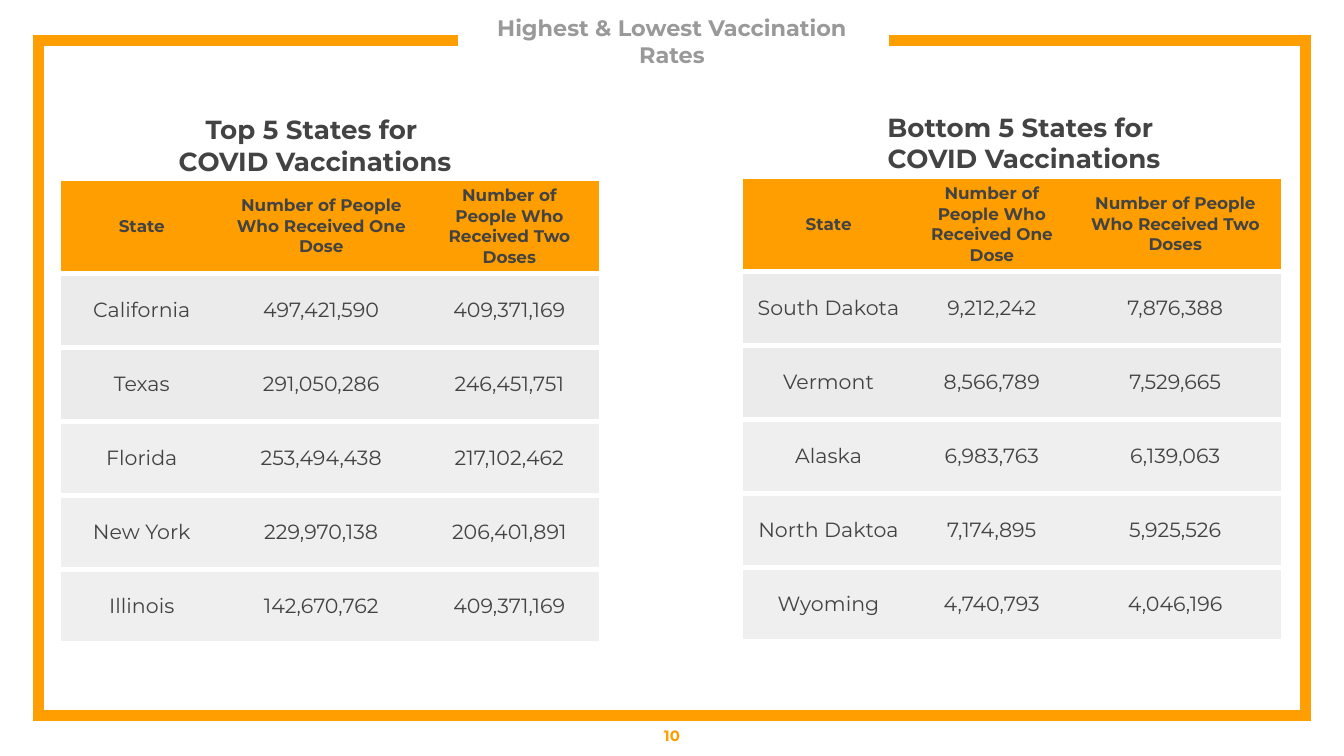
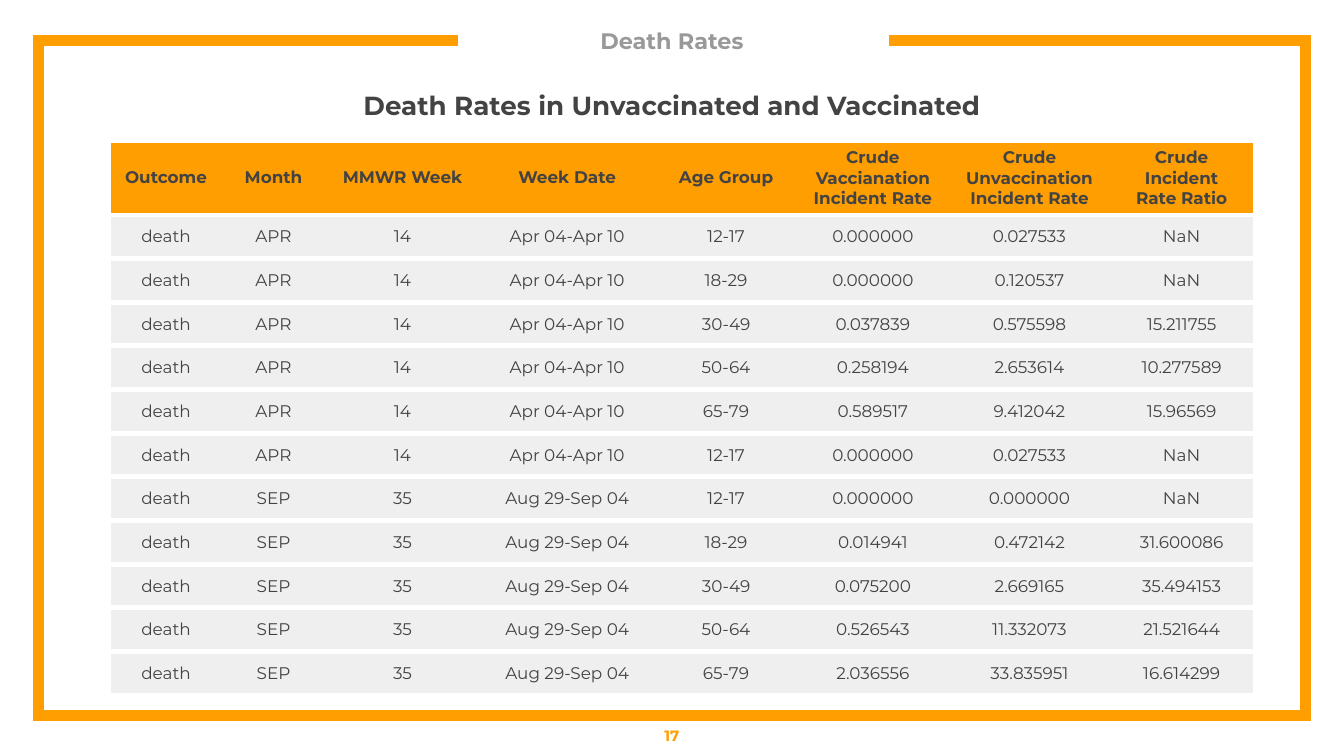
"""Build two slides of vaccination and death rate tables."""

from typing import Any, NamedTuple

from lxml import etree
from pptx import Presentation
from pptx.dml.color import RGBColor
from pptx.enum.text import MSO_ANCHOR, PP_ALIGN
from pptx.oxml.ns import qn
from pptx.slide import Slide
from pptx.table import _Cell
from pptx.text.text import TextFrame
from pptx.util import Emu, Pt

CENTER = PP_ALIGN.CENTER
MIDDLE = MSO_ANCHOR.MIDDLE

PX = 4572
SLIDE_WIDTH, SLIDE_HEIGHT = 2000, 1125
BLANK_LAYOUT = 6
FONT = "Montserrat"

ORANGE = RGBColor(0xFF, 0x9E, 0x00)
WHITE = RGBColor(0xFF, 0xFF, 0xFF)
TITLE_GRAY = RGBColor(0x99, 0x99, 0x99)
TEXT_GRAY = RGBColor(0x43, 0x43, 0x43)
ROW_GRAY = RGBColor(0xEF, 0xEF, 0xEF)
ROW_DARK = RGBColor(0xEB, 0xEB, 0xEB)

FRAME_POINTS = [(681, 60), (57, 60), (57, 1065), (1943, 1065), (1943, 60), (1323, 60)]
FRAME_WEIGHT = 6
BORDER_WEIGHT = 3


class Box(NamedTuple):
    left: int
    top: int
    width: int
    height: int


class TextStyle(NamedTuple):
    size: int
    color: RGBColor
    bold: bool = True


class Label(NamedTuple):
    lines: tuple[str, ...]
    box: Box
    style: TextStyle
    inset: int = 0


class DataTable(NamedTuple):
    left: int
    top: int
    column_widths: tuple[int, ...]
    header_height: int
    row_height: int
    header: tuple[str, ...]
    rows: list[tuple[str, ...]]
    body_style: TextStyle
    dark_rows: int = 0


class Page(NamedTuple):
    title: str
    number: str
    tables: list[DataTable]
    headings: list[Label]


TITLE_BOX = Box(709, 22, 582, 78)
NUMBER_BOX = Box(0, 1065, SLIDE_WIDTH, 60)
TITLE_STYLE = TextStyle(12, TITLE_GRAY)
NUMBER_STYLE = TextStyle(8, ORANGE)
HEADING_STYLE = TextStyle(14, TEXT_GRAY)
HEADER_STYLE = TextStyle(9, TEXT_GRAY)
STATE_STYLE = TextStyle(11, TEXT_GRAY, False)
DEATH_STYLE = TextStyle(9, TEXT_GRAY, False)

DOSE_HEADER = (
    "State",
    "Number of People Who Received One Dose",
    "Number of People Who Received Two Doses",
)
TOP_STATES = [
    ("California", "497,421,590", "409,371,169"),
    ("Texas", "291,050,286", "246,451,751"),
    ("Florida", "253,494,438", "217,102,462"),
    ("New York", "229,970,138", "206,401,891"),
    ("Illinois", "142,670,762", "409,371,169"),
]
BOTTOM_STATES = [
    ("South Dakota", "9,212,242", "7,876,388"),
    ("Vermont", "8,566,789", "7,529,665"),
    ("Alaska", "6,983,763", "6,139,063"),
    ("North Daktoa", "7,174,895", "5,925,526"),
    ("Wyoming", "4,740,793", "4,046,196"),
]
DEATH_HEADER = (
    "Outcome",
    "Month",
    "MMWR Week",
    "Week Date",
    "Age Group",
    "Crude Vaccianation Incident Rate",
    "Crude Unvaccination Incident Rate",
    "Crude Incident Rate Ratio",
)
DEATHS_BY_WEEK = {
    ("death", "APR", "14", "Apr 04-Apr 10"): [
        ("12-17", "0.000000", "0.027533", "NaN"),
        ("18-29", "0.000000", "0.120537", "NaN"),
        ("30-49", "0.037839", "0.575598", "15.211755"),
        ("50-64", "0.258194", "2.653614", "10.277589"),
        ("65-79", "0.589517", "9.412042", "15.96569"),
        ("12-17", "0.000000", "0.027533", "NaN"),
    ],
    ("death", "SEP", "35", "Aug 29-Sep 04"): [
        ("12-17", "0.000000", "0.000000", "NaN"),
        ("18-29", "0.014941", "0.472142", "31.600086"),
        ("30-49", "0.075200", "2.669165", "35.494153"),
        ("50-64", "0.526543", "11.332073", "21.521644"),
        ("65-79", "2.036556", "33.835951", "16.614299"),
    ],
}
DEATH_ROWS = [week + rates for week, group in DEATHS_BY_WEEK.items() for rates in group]


def state_table(
    left: int, top: int, widths: tuple[int, ...], rows: list[tuple[str, ...]]
) -> DataTable:
    return DataTable(left, top, widths, 141, 110, DOSE_HEADER, rows, STATE_STYLE, 2)


def state_heading(rank: str, left: int, top: int) -> Label:
    lines = (f"{rank} 5 States for ", "COVID Vaccinations")
    return Label(lines, Box(left, top, 582, 78), HEADING_STYLE)


PAGES = [
    Page(
        "Highest & Lowest Vaccination Rates",
        "10",
        [
            state_table(91, 266, (240, 294, 266), TOP_STATES),
            state_table(1106, 263, (254, 232, 314), BOTTOM_STATES),
        ],
        [state_heading("Top", 178, 177), state_heading("Bottom", 1233, 173)],
    ),
    Page(
        "Death Rates",
        "17",
        [
            DataTable(
                165, 209, (164, 156, 228, 262, 211, 226, 240, 213), 111, 65,
                DEATH_HEADER, DEATH_ROWS, DEATH_STYLE,
            )
        ],
        [
            Label(
                ("Death Rates in Unvaccinated and Vaccinated",),
                Box(374, 123, 1252, 68), HEADING_STYLE, 20,
            )
        ],
    ),
]


def px(length: int) -> Emu:
    return Emu(length * PX)


def apply_format(target: Any, values: dict[str, Any]) -> None:
    for name, value in values.items():
        setattr(target, name, value)


def write_lines(frame: TextFrame, lines: tuple[str, ...], style: TextStyle) -> None:
    for index, line in enumerate(lines):
        paragraph = frame.add_paragraph() if index else frame.paragraphs[0]
        paragraph.alignment = CENTER
        run = paragraph.add_run()
        run.text = line
        apply_format(run.font, {"name": FONT, "size": Pt(style.size), "bold": style.bold})
        run.font.color.rgb = style.color


def add_label(slide: Slide, label: Label) -> None:
    frame = slide.shapes.add_textbox(*map(px, label.box)).text_frame
    inset = px(label.inset)
    apply_format(frame, {
        "word_wrap": True,
        "vertical_anchor": MIDDLE,
        "margin_left": inset,
        "margin_right": inset,
        "margin_top": inset,
        "margin_bottom": inset,
    })
    write_lines(frame, label.lines, label.style)


def add_frame(slide: Slide) -> None:
    builder = slide.shapes.build_freeform(*FRAME_POINTS[0], scale=PX)
    builder.add_line_segments(FRAME_POINTS[1:], close=False)
    shape = builder.convert_to_shape()
    shape.shadow.inherit = False
    shape.fill.background()
    shape.line.color.rgb = ORANGE
    shape.line.width = Pt(FRAME_WEIGHT)
    outline = shape.line._get_or_add_ln()
    etree.SubElement(outline, qn("a:miter"), lim="800000")


def set_borders(cell: _Cell) -> None:
    properties = cell._tc.get_or_add_tcPr()
    for side in ("lnL", "lnR"):
        etree.SubElement(etree.SubElement(properties, qn(f"a:{side}"), w="0"), qn("a:noFill"))
    for side in ("lnT", "lnB"):
        line = etree.SubElement(properties, qn(f"a:{side}"), w=str(Pt(BORDER_WEIGHT)))
        fill = etree.SubElement(line, qn("a:solidFill"))
        etree.SubElement(fill, qn("a:srgbClr"), val=str(WHITE))


def fill_cell(cell: _Cell, text: str, style: TextStyle, color: RGBColor) -> None:
    set_borders(cell)
    cell.fill.solid()
    cell.fill.fore_color.rgb = color
    cell.vertical_anchor = MIDDLE
    write_lines(cell.text_frame, (text,), style)


def add_data_table(slide: Slide, data: DataTable) -> None:
    heights = [data.header_height] + [data.row_height] * len(data.rows)
    box = Box(data.left, data.top, sum(data.column_widths), sum(heights))
    table = slide.shapes.add_table(len(heights), len(data.header), *map(px, box)).table
    apply_format(table, {"first_row": False, "horz_banding": False})
    for column, width in zip(table.columns, data.column_widths):
        column.width = px(width)
    for index, values in enumerate([data.header, *data.rows]):
        row = table.rows[index]
        row.height = px(heights[index])
        style = data.body_style if index else HEADER_STYLE
        shade = ROW_DARK if index <= data.dark_rows else ROW_GRAY
        for cell, text in zip(row.cells, values):
            fill_cell(cell, text, style, shade if index else ORANGE)


def main() -> None:
    presentation = Presentation()
    apply_format(presentation, {"slide_width": px(SLIDE_WIDTH), "slide_height": px(SLIDE_HEIGHT)})
    for page in PAGES:
        slide = presentation.slides.add_slide(presentation.slide_layouts[BLANK_LAYOUT])
        add_frame(slide)
        add_label(slide, Label((page.title,), TITLE_BOX, TITLE_STYLE))
        add_label(slide, Label((page.number,), NUMBER_BOX, NUMBER_STYLE, 20))
        for data in page.tables:
            add_data_table(slide, data)
        for heading in page.headings:
            add_label(slide, heading)
    presentation.save("out.pptx")


if __name__ == "__main__":
    main()
